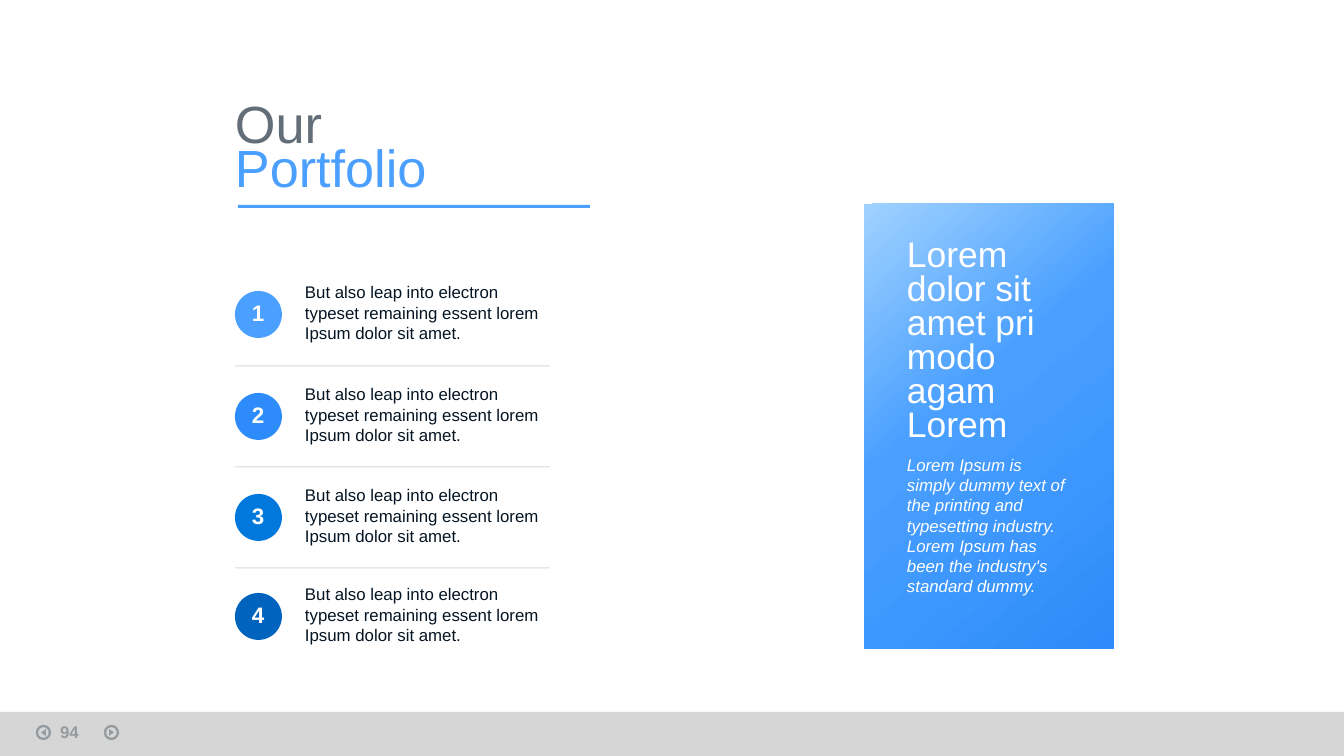
from dataclasses import dataclass

from lxml.etree import SubElement
from pptx import Presentation
from pptx.dml.color import RGBColor
from pptx.enum.shapes import MSO_CONNECTOR, MSO_SHAPE as Shape
from pptx.enum.text import MSO_ANCHOR as Anchor, MSO_AUTO_SIZE, PP_ALIGN as Align
from pptx.oxml.ns import qn
from pptx.util import Pt

PX = 914400 / 134.4
FONT = "Arial"
INK, GREY, BLUE, WHITE = "051423", "646E78", "4BA0FF", "FFFFFF"


@dataclass
class Box:
    left: int
    top: int
    width: int
    height: int

    def emu(self) -> list[int]:
        return [px(v) for v in (self.left, self.top, self.width, self.height)]


@dataclass
class Item:
    top: int
    color: str


@dataclass
class Arrow:
    left: int
    rotation: int


ITEM_TEXT = "But also leap into electron typeset remaining essent lorem Ipsum dolor sit amet."
ITEMS = [Item(278, BLUE), Item(380, "2D8CFA"), Item(481, "0078DC"), Item(580, "0064BE")]
ARROWS = [Arrow(37, 270), Arrow(105, 90)]
PANEL_STOPS = [(0, "A0D2FF"), (41, BLUE), (100, "2D8CFA")]
PANEL_TEXT = (
    "Lorem Ipsum is simply dummy text of the printing and typesetting industry. "
    "Lorem Ipsum has been the industry's standard dummy."
)


def px(value: int) -> int:
    return round(value * PX)


def rgb(color: str) -> RGBColor:
    return RGBColor.from_string(color)


def set_opacity(element, percent: int) -> None:
    for color in element.iter(qn("a:srgbClr")):
        SubElement(color, qn("a:alpha"), val=str(percent * 1000))


def add_shape(slide, kind, box: Box, fill=None, line=None, opacity=100, rotation=0):
    shape = slide.shapes.add_shape(kind, *box.emu())
    shape.shadow.inherit = False
    shape.rotation = rotation
    if fill:
        shape.fill.solid()
        shape.fill.fore_color.rgb = rgb(fill)
    else:
        shape.fill.background()
    if line:
        shape.line.color.rgb = rgb(line)
        shape.line.width = Pt(1.25)
    else:
        shape.line.fill.background()
    if opacity < 100:
        set_opacity(shape._element, opacity)
    return shape


def set_gradient(shape, stops: list[tuple[int, str]], angle: int) -> None:
    shape.fill.gradient()
    gradient = shape._element.spPr.find(qn("a:gradFill"))
    for child in list(gradient):
        gradient.remove(child)
    stop_list = SubElement(gradient, qn("a:gsLst"))
    for position, color in stops:
        stop = SubElement(stop_list, qn("a:gs"), pos=str(position * 1000))
        SubElement(stop, qn("a:srgbClr"), val=color)
    SubElement(gradient, qn("a:lin"), ang=str(angle * 60000), scaled="0")


def write_text(shape, *lines: str, size: int, colors=(INK,), bold=False, italic=False,
               align=Align.LEFT, spacing=1.0, anchor=Anchor.MIDDLE, insets=True) -> None:
    frame = shape.text_frame
    frame.word_wrap = True
    frame.auto_size = MSO_AUTO_SIZE.NONE
    frame.vertical_anchor = anchor
    if not insets:
        frame.margin_left = frame.margin_top = frame.margin_right = frame.margin_bottom = 0
    for index, line in enumerate(lines):
        paragraph = frame.paragraphs[0] if index == 0 else frame.add_paragraph()
        paragraph.alignment = align
        paragraph.line_spacing = spacing
        paragraph.space_before = Pt(0)
        run = paragraph.add_run()
        run.text = line
        font = run.font
        font.name, font.size, font.bold, font.italic = FONT, Pt(size), bold, italic
        font.color.rgb = rgb(colors[index % len(colors)])


def add_text(slide, box: Box, *lines: str, insets=False, **formats):
    text_box = slide.shapes.add_textbox(*box.emu())
    write_text(text_box, *lines, insets=insets, **formats)
    return text_box


def add_divider(slide, left: int, right: int, y: int) -> None:
    line = slide.shapes.add_connector(MSO_CONNECTOR.STRAIGHT, px(left), px(y), px(right), px(y))
    line.line.color.rgb = rgb(GREY)
    line.line.width = Pt(0.5)
    set_opacity(line._element, 25)
    SubElement(line._element.spPr, qn("a:effectLst"))


def add_item(slide, number: int, item: Item) -> None:
    add_text(slide, Box(305, item.top, 246, 69), ITEM_TEXT, size=9)
    add_shape(slide, Shape.OVAL, Box(235, item.top + 13, 47, 47), item.color)
    add_text(slide, Box(226, item.top + 11, 64, 54), str(number), size=12,
             colors=(WHITE,), bold=True, align=Align.CENTER, spacing=0.7)


def add_arrow(slide, arrow: Arrow) -> None:
    add_shape(slide, Shape.OVAL, Box(arrow.left, 726, 13, 13), line=INK, opacity=30)
    add_shape(slide, Shape.ISOSCELES_TRIANGLE, Box(arrow.left + 3, 730, 7, 5), INK,
              opacity=30, rotation=arrow.rotation)


def main() -> None:
    presentation = Presentation()
    presentation.slide_width, presentation.slide_height = px(1344), px(756)
    slide = presentation.slides.add_slide(presentation.slide_layouts[5])

    # Title and underline
    title = slide.shapes.title
    title.left, title.top, title.width, title.height = Box(235, 95, 215, 114).emu()
    write_text(title, "Our", "Portfolio", size=28, colors=(GREY, BLUE), spacing=0.7, insets=False)
    add_shape(slide, Shape.RECTANGLE, Box(238, 205, 352, 3), BLUE)

    # Numbered items with dividers between them
    for number, item in enumerate(ITEMS, 1):
        add_item(slide, number, item)
    for gap in range(len(ITEMS) - 1):
        add_divider(slide, 235, 550, 366 + 101 * gap)

    # Gradient panel
    panel = add_shape(slide, Shape.RECTANGLE, Box(864, 204, 250, 445))
    set_gradient(panel, PANEL_STOPS, 50)
    add_text(slide, Box(907, 253, 163, 179), "Lorem", "dolor sit amet pri modo agam Lorem",
             size=19, colors=(WHITE,), spacing=0.8)
    add_text(slide, Box(907, 449, 163, 153), PANEL_TEXT, size=9, colors=(WHITE,), italic=True)

    # Footer bar with page number
    add_shape(slide, Shape.RECTANGLE, Box(0, 712, 1344, 44), "D2D2D2", opacity=90)
    for arrow in ARROWS:
        add_arrow(slide, arrow)
    page = add_text(slide, Box(47, 715, 62, 28), "94", size=9, bold=True,
                    anchor=Anchor.TOP, insets=True)
    set_opacity(page._element, 30)

    presentation.save("out.pptx")


if __name__ == "__main__":
    main()
